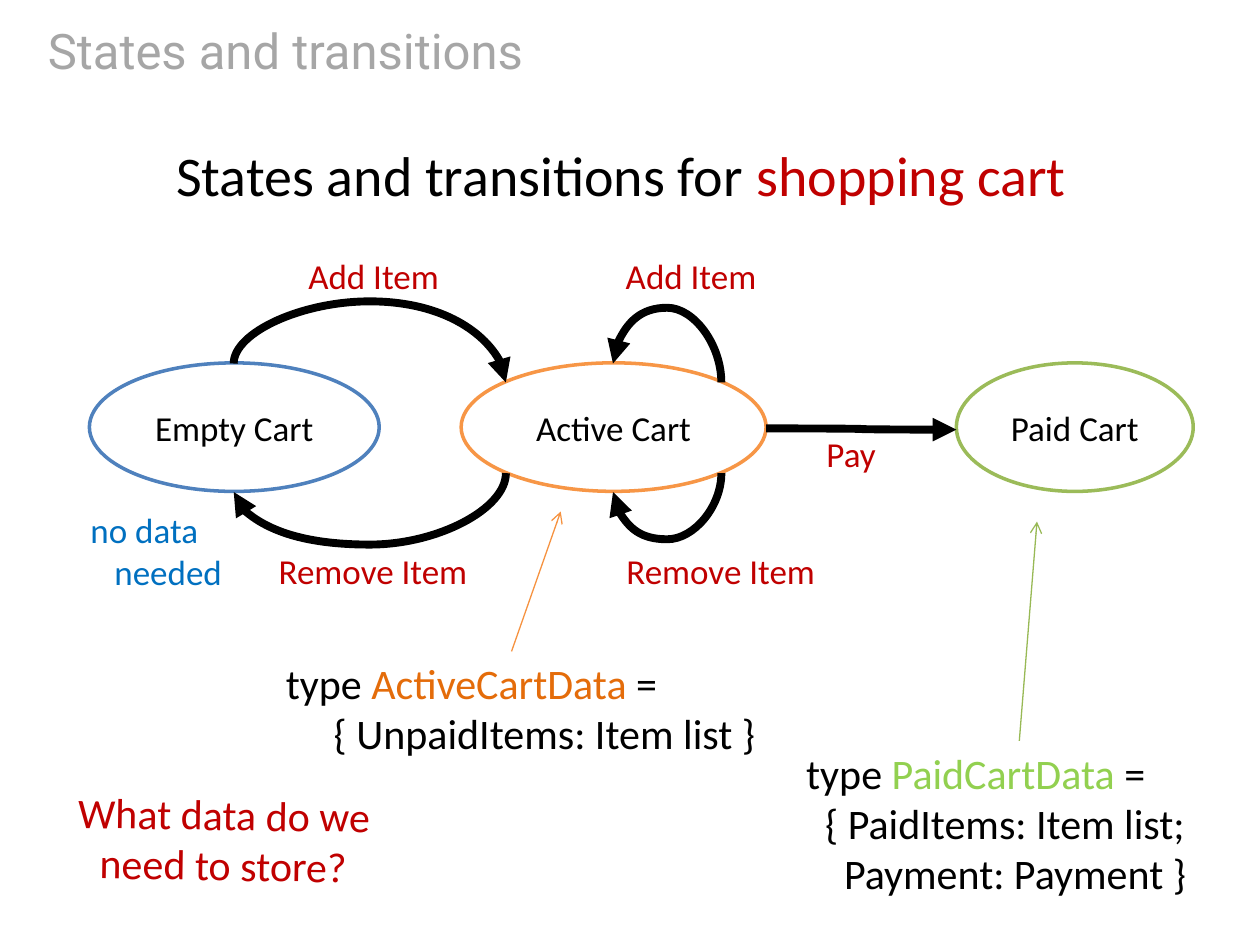
import dataclasses
import pptx
import pptx.dml.color
import pptx.enum.shapes
import pptx.enum.text
import pptx.oxml.ns
import pptx.util
from lxml import etree

Inches = pptx.util.Inches
Pt = pptx.util.Pt
qn = pptx.oxml.ns.qn
Align = pptx.enum.text.PP_ALIGN
Kind = pptx.enum.shapes.MSO_CONNECTOR


@dataclasses.dataclass
class Theme:
    face: str = "Calibri"
    head: str = "Roboto"
    black: str = "000000"
    white: str = "FFFFFF"
    gray: str = "A6A6A6"
    red: str = "C00000"
    blue: str = "0070C0"
    orange: str = "E46C0A"
    green: str = "92D050"
    empty: str = "4F81BD"
    active: str = "F79646"
    paid: str = "9BBB59"
    amber: str = "F69240"
    moss: str = "98B955"
    label: int = 20
    code: int = 24
    top: int = 28
    lead: int = 32


theme = Theme()


def write(shape, paras, size, align=Align.LEFT, pad=None, hang=0, step=0, face=theme.face):
    frame = shape.text_frame
    frame.word_wrap = True
    if pad is not None:
        frame.margin_left = frame.margin_right = Inches(pad)
        frame.margin_top = frame.margin_bottom = Inches(pad)
    for row, runs in enumerate(paras):
        para = frame.paragraphs[0] if row == 0 else frame.add_paragraph()
        para.alignment = align
        para.font.name = face
        para.font.size = Pt(size)
        if hang:
            para.space_before = Pt(size * 0.2)
        if hang or step:
            props = para._p.get_or_add_pPr()
            props.set("marL", str(Inches(hang + step * row)))
            props.set("indent", str(Inches(-hang)))
        for text, color in runs:
            if text == "\v":
                para.add_line_break()
                continue
            run = para.add_run()
            run.text = text
            run.font.color.rgb = pptx.dml.color.RGBColor.from_string(color)


def arrow(kind, start, end, color, width, tip):
    link = slide.shapes.add_connector(kind, *map(Inches, start + end))
    link.line.color.rgb = pptx.dml.color.RGBColor.from_string(color)
    link.line.width = Pt(width)
    etree.SubElement(link.line._get_or_add_ln(), qn("a:tailEnd"), type=tip)
    etree.SubElement(link._element.spPr, qn("a:effectLst"))
    return link


deck = pptx.Presentation()
deck.slide_width, deck.slide_height = Inches(10), Inches(7.5)
slide = deck.slides.add_slide(deck.slide_layouts[5])

title = slide.shapes.title
title.left, title.top, title.width, title.height = map(Inches, (0.28, 0.13, 9.45, 0.54))
title.text_frame.vertical_anchor = pptx.enum.text.MSO_ANCHOR.MIDDLE
title.text_frame.auto_size = pptx.enum.text.MSO_AUTO_SIZE.NONE
write(title, [[("States and transitions", theme.gray)]], theme.top, face=theme.head)

for name, left, width, color in [
    ("Empty Cart", 0.71, 2.3, theme.empty),
    ("Active Cart", 3.66, 2.42, theme.active),
    ("Paid Cart", 7.59, 1.88, theme.paid),
]:
    state = slide.shapes.add_shape(
        pptx.enum.shapes.MSO_SHAPE.OVAL, *map(Inches, (left, 2.88, width, 1.02)))
    state.shadow.inherit = False
    state.fill.solid()
    state.fill.fore_color.rgb = pptx.dml.color.RGBColor.from_string(theme.white)
    state.line.color.rgb = pptx.dml.color.RGBColor.from_string(color)
    state.line.width = Pt(2)
    state.text_frame.vertical_anchor = pptx.enum.text.MSO_ANCHOR.MIDDLE
    write(state, [[(name, theme.black)]], theme.label, Align.CENTER)

for name, left, top, width in [
    ("Add Item", 2.24, 2.02, 1.45),
    ("Remove Item", 1.85, 4.36, 2.22),
    ("Pay", 6.01, 3.43, 1.49),
    ("Add Item", 4.76, 2.02, 1.45),
    ("Remove Item", 4.61, 4.36, 2.22),
]:
    label = slide.shapes.add_textbox(*map(Inches, (left, top, width, 0.42)))
    write(label, [[(name, theme.red)]], theme.label, Align.CENTER, pad=0)

for left, top, width, height, turn, flip, bend in [
    (2.86, 1.88, 0.15, 2.16, 270, "flipH", -3.29),
    (2.86, 2.75, 0.15, 2.16, 90, None, 3.78),
    (6.08, 3.4, 1.51, 0.01, 0, None, 0.5),
    (5.22, 2.53, 0.15, 0.86, 270, "flipV", 3.95),
    (5.22, 3.4, 0.15, 0.86, 90, None, 3.5),
]:
    curve = arrow(Kind.CURVE, (left, top), (left + width, top + height),
                  theme.black, 4.5, "triangle")
    frame = curve._element.spPr.find(qn("a:xfrm"))
    frame.set("rot", str(turn * 60000))
    if flip:
        frame.set(flip, "1")
    guides = curve._element.spPr.find(qn("a:prstGeom")).get_or_add_avLst()
    etree.SubElement(guides, qn("a:gd"), name="adj1", fmla=f"val {round(bend * 100000)}")

arrow(Kind.STRAIGHT, (4.06, 5.17), (4.45, 4.06), theme.amber, 0.75, "arrow")
arrow(Kind.STRAIGHT, (8.09, 5.88), (8.23, 4.14), theme.moss, 0.75, "arrow")

lead = slide.shapes.add_textbox(*map(Inches, (1.3, 1.07, 7.4, 0.64)))
write(lead, [[("States and transitions for ", theme.black), ("shopping cart", theme.red)]],
      theme.lead)

active = slide.shapes.add_textbox(*map(Inches, (2.17, 5.17, 4.09, 0.87)))
write(active, [[("type ", theme.black), ("ActiveCartData", theme.orange), (" =", theme.black),
                ("\v", None), ("{ UnpaidItems: Item list }", theme.black)]],
      theme.code, hang=0.38)

paid = slide.shapes.add_textbox(*map(Inches, (6.3, 5.88, 3.58, 0.87)))
write(paid, [[("type ", theme.black), ("PaidCartData", theme.green), (" =", theme.black)],
             [("{ PaidItems: Item list;", theme.black)],
             [("Payment: Payment }", theme.black)]],
      theme.code, step=0.15)

empty = slide.shapes.add_textbox(*map(Inches, (0.2, 3.99, 1.89, 0.55)))
write(empty, [[("no data", theme.blue), ("\v", None), ("needed", theme.blue)]],
      theme.label, Align.CENTER, hang=0.38)

ask = slide.shapes.add_textbox(*map(Inches, (0.44, 6.21, 2.67, 0.91)))
ask.rotation = 1
write(ask, [[("What data do we need to store?", theme.red)]], theme.code, Align.CENTER)

deck.save("out.pptx")
